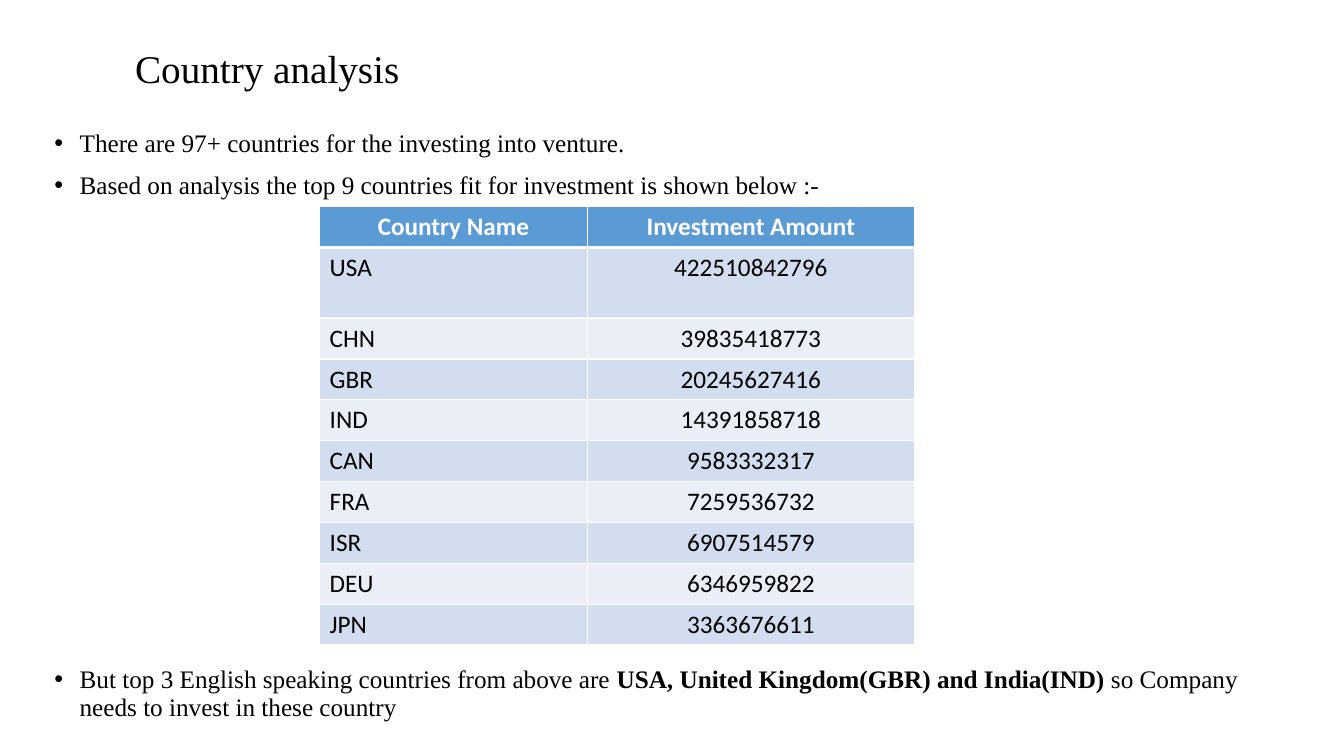
from lxml.etree import SubElement
from pptx import Presentation
from pptx.dml.color import RGBColor
from pptx.enum.text import MSO_ANCHOR, MSO_AUTO_SIZE, PP_ALIGN
from pptx.oxml.ns import qn
from pptx.util import Inches, Pt

COLORS = {
    "text": "000000",
    "white": "FFFFFF",
    "header": "5B9BD5",
    "odd_row": "D2DEEF",
    "even_row": "EAEFF7",
}
SERIF, SANS = "Times New Roman", "Calibri"
BODY_SIZE = 18
LINE_SPACING = 0.9
BULLET_GAP = 10
TABLE_GAP = 334

TITLE_BOX = (1.24, 0.23, 10.19, 0.94)
BODY_BOX = (0.44, 1.25, 12.21, 6.09)
TABLE_BOX = (3.17, 2.05, 5.9, 4.3)
COLUMN_SHARES = (0.45, 0.55)
ROW_HEIGHT, FIRST_COUNTRY_HEIGHT = 0.4, 0.7

# Each bullet: space before in points, then (text, bold) runs
BULLETS = [
    (BULLET_GAP, [("There are 97+ countries for the investing into venture.", False)]),
    (BULLET_GAP, [("Based on analysis the top 9 countries fit for investment is shown below :-", False)]),
    (TABLE_GAP, [
        ("But top 3 English speaking countries from above are ", False),
        ("USA, United Kingdom(GBR) and India(IND)", True),
        (" so Company needs to invest in these country", False),
    ]),
]
INVESTMENTS = [
    ("Country Name", "Investment Amount"),
    ("USA", "422510842796"),
    ("CHN", "39835418773"),
    ("GBR", "20245627416"),
    ("IND", "14391858718"),
    ("CAN", "9583332317"),
    ("FRA", "7259536732"),
    ("ISR", "6907514579"),
    ("DEU", "6346959822"),
    ("JPN", "3363676611"),
]


def color(name):
    return RGBColor.from_string(COLORS[name])


def add_run(para, text, font, size, color_name="text", bold=False):
    span = para.add_run()
    span.text = text
    span.font.name = font
    span.font.size = Pt(size)
    span.font.bold = bold
    span.font.color.rgb = color(color_name)


def place(shape, box):
    shape.left, shape.top, shape.width, shape.height = map(Inches, box)
    shape.text_frame.word_wrap = True
    shape.text_frame.auto_size = MSO_AUTO_SIZE.NONE


def add_bullet(para):
    properties = para._p.get_or_add_pPr()
    properties.set("marL", str(Inches(0.25)))
    properties.set("indent", str(-Inches(0.25)))
    SubElement(properties, qn("a:buFont"), typeface="Arial")
    SubElement(properties, qn("a:buChar"), char="•")


def fill_title(title, box):
    place(title, box)
    title.text_frame.vertical_anchor = MSO_ANCHOR.MIDDLE
    para = title.text_frame.paragraphs[0]
    para.alignment = PP_ALIGN.LEFT
    para.line_spacing = LINE_SPACING
    add_run(para, "Country analysis", SERIF, 28)


def fill_body(body, box):
    place(body, box)
    frame = body.text_frame
    for index, (gap, runs) in enumerate(BULLETS):
        para = frame.add_paragraph() if index else frame.paragraphs[0]
        para.line_spacing = LINE_SPACING
        para.space_before = Pt(gap)
        add_bullet(para)
        for text, bold in runs:
            add_run(para, text, SERIF, BODY_SIZE, bold=bold)


def set_borders(cell, **widths):
    properties = cell._tc.get_or_add_tcPr()
    for side in "LRTB":
        line = SubElement(properties, qn(f"a:ln{side}"), w=str(Pt(widths.get(side, 1))))
        fill = SubElement(line, qn("a:solidFill"))
        SubElement(fill, qn("a:srgbClr"), val=COLORS["white"])


def fill_cell(cell, text, row, column):
    is_header = row == 0
    set_borders(cell, B=3 if is_header else 1, T=3 if row == 1 else 1)
    cell.fill.solid()
    cell.fill.fore_color.rgb = color(
        "header" if is_header else "odd_row" if row % 2 else "even_row")
    para = cell.text_frame.paragraphs[0]
    para.alignment = PP_ALIGN.CENTER if is_header or column else PP_ALIGN.LEFT
    add_run(para, text, SANS, BODY_SIZE, "white" if is_header else "text", is_header)


def add_investment_table(page, box):
    frame = page.shapes.add_table(len(INVESTMENTS), len(COLUMN_SHARES), *map(Inches, box))
    table = frame.table
    for column, share in zip(table.columns, COLUMN_SHARES):
        column.width = Inches(box[2] * share)
    for row, texts in enumerate(INVESTMENTS):
        table.rows[row].height = Inches(FIRST_COUNTRY_HEIGHT if row == 1 else ROW_HEIGHT)
        for column, text in enumerate(texts):
            fill_cell(table.cell(row, column), text, row, column)


def main():
    deck = Presentation()
    deck.slide_width, deck.slide_height = Inches(13.33), Inches(7.5)
    page = deck.slides.add_slide(deck.slide_layouts[1])
    fill_title(page.shapes.title, TITLE_BOX)
    fill_body(page.placeholders[1], BODY_BOX)
    add_investment_table(page, TABLE_BOX)
    deck.save("out.pptx")


if __name__ == "__main__":
    main()
